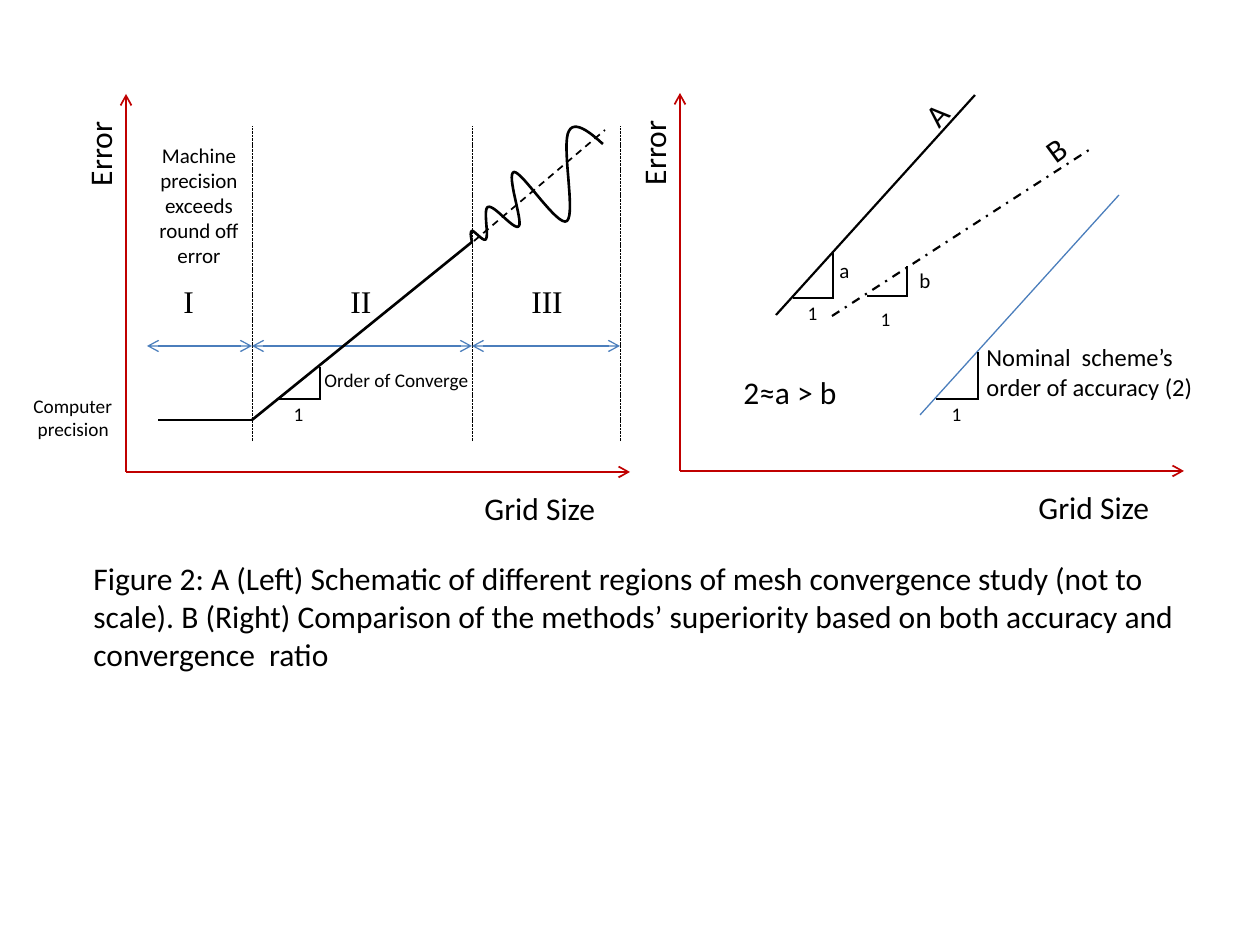
import pptx
import pptx.util
import pptx.dml.color
import pptx.enum.dml
import pptx.enum.shapes
import pptx.enum.text
import lxml.etree

SCALE = 914400 / 126
CURVE_STEPS = 16
COLORS = {"axis": "C00000", "blue": "4B7EBC", "black": "000000"}
DASH = pptx.enum.dml.MSO_LINE

# Panel origins; both panels share the same axes
PANELS = [(126, 472), (680, 471)]
AXIS_HEIGHT, AXIS_WIDTH = 378, 504

REGION_EDGES = [147, 252, 472, 620]
REGION_ARROW_Y = 346
REGION_LABELS = [("I", 171), ("II", 338), ("III", 519)]
DIVIDER_TOP, DIVIDER_BOTTOM = 126, 441

# start, end, color, width, dash
CURVE_LINES = [
    ((252, 420), (158, 420), "black", 1.5, None),
    ((252, 420), (472, 242), "black", 1.5, None),
    ((474, 241), (605, 130), "black", 1, DASH.DASH),
    ((920, 415), (1119, 195), "blue", 0.75, None),
    ((776, 315), (975, 95), "black", 1.25, None),
    ((832, 316), (1089, 150), "black", 1.25, DASH.DASH_DOT),
]

# left, right, base, top of each slope triangle
TRIANGLES = [(278, 321, 399, 367), (936, 979, 399, 352),
             (793, 834, 298, 251), (867, 908, 296, 266)]

OSCILLATION_START = (472, 242)
OSCILLATION = [
    [(471, 237), (470, 232), (472, 231)],
    [(474, 230), (484, 243), (486, 239)],
    [(489, 235), (483, 209), (488, 207)],
    [(494, 204), (515, 232), (519, 226)],
    [(523, 221), (506, 174), (514, 172)],
    [(522, 171), (558, 228), (567, 221)],
    [(576, 214), (561, 144), (569, 131)],
    [(576, 117), (600, 142), (603, 144)],
]

# paragraphs, box, size, rotation, centred
LABELS = [
    (["Machine precision", "exceeds round off error"], (136, 136, 126, 140), 12, 0, True),
    (["Computer", " precision"], (21, 388, 136, 59), 11, 0, False),
    (["Order of Converge"], (312, 362, 192, 36), 11, 0, False),
    (["Nominal  scheme’s order of accuracy (2)"], (974, 336, 232, 72), 14, 0, False),
    (["1"], (285, 396, 21, 36), 11, 0, False),
    (["1"], (943, 396, 21, 36), 11, 0, False),
    (["1"], (799, 295, 21, 36), 11, 0, False),
    (["1"], (872, 301, 21, 36), 11, 0, False),
    (["A"], (914, 88, 45, 50), 18, 312.4, False),
    (["B"], (1034, 123, 45, 50), 18, 323.8, False),
    (["a"], (827, 251, 25, 38), 12, 0, False),
    (["b"], (907, 261, 25, 38), 12, 0, False),
    (["2≈a > b"], (731, 367, 136, 50), 18, 0, False),
    (["Figure 2: A (Left) Schematic of different regions of mesh convergence study "
      "(not to scale). B (Right) Comparison of the methods’ superiority based on both "
      "accuracy and convergence  ratio"], (81, 553, 1129, 127), 18, 0, False),
]


def emu(pixels):
    """Turn pixels into EMU."""
    return pptx.util.Emu(round(pixels * SCALE))


def rgb(name):
    """Look up a named colour."""
    return pptx.dml.color.RGBColor.from_string(COLORS[name])


def add_line(start, end, color="black", width=0.75, dash=None, ends=()):
    """Draw a straight line, with arrowheads at the ends named."""
    line = slide.shapes.add_connector(pptx.enum.shapes.MSO_CONNECTOR.STRAIGHT,
                                      *map(emu, start + end))
    line.line.color.rgb = rgb(color)
    line.line.width = pptx.util.Pt(width)
    if dash is not None:
        line.line.dash_style = dash
    properties = line._element.spPr
    outline = properties.find(pptx.oxml.ns.qn("a:ln"))
    for end_name in ends:
        lxml.etree.SubElement(outline, pptx.oxml.ns.qn("a:" + end_name), type="arrow")
    lxml.etree.SubElement(properties, pptx.oxml.ns.qn("a:effectLst"))


def add_text(paragraphs, box, size, rotation=0, centred=False, font="Calibri"):
    """Add a wrapping text box, one run per paragraph."""
    shape = slide.shapes.add_textbox(*map(emu, box))
    shape.rotation = rotation
    frame = shape.text_frame
    frame.word_wrap = True
    for index, text in enumerate(paragraphs):
        paragraph = frame.add_paragraph() if index else frame.paragraphs[0]
        if centred:
            paragraph.alignment = pptx.enum.text.PP_ALIGN.CENTER
        run = paragraph.add_run()
        run.text = text
        run.font.name = font
        run.font.size = pptx.util.Pt(size)
        run.font.color.rgb = rgb("black")


def add_panel(x, y):
    """Draw the two axes of a panel and their titles."""
    for end in [(x, y - AXIS_HEIGHT), (x + AXIS_WIDTH, y)]:
        add_line((x, y), end, "axis", 1, ends=["tailEnd"])
    add_text(["Grid Size"], (x + 346, y + 11, 158, 50), 18)
    add_text(["Error"], (x - 79, y - 351, 105, 50), 18, 270)


def curve_points(start, segments):
    """Sample a chain of cubic Bezier segments."""
    points = []
    for first, second, end in segments:
        for step in range(1, CURVE_STEPS + 1):
            t = step / CURVE_STEPS
            u = 1 - t
            weights = (u ** 3, 3 * u * u * t, 3 * u * t * t, t ** 3)
            controls = (start, first, second, end)
            points.append(tuple(sum(w * c[axis] for w, c in zip(weights, controls)) * SCALE
                                for axis in (0, 1)))
        start = end
    return points


def add_oscillation():
    """Draw the growing oscillation of region III."""
    builder = slide.shapes.build_freeform(*map(emu, OSCILLATION_START))
    builder.add_line_segments(curve_points(OSCILLATION_START, OSCILLATION), close=False)
    shape = builder.convert_to_shape()
    shape.shadow.inherit = False
    shape.fill.background()
    shape.line.color.rgb = rgb("black")
    shape.line.width = pptx.util.Pt(1.5)


presentation = pptx.Presentation()
presentation.slide_width = emu(1260)
presentation.slide_height = emu(945)
slide = presentation.slides.add_slide(presentation.slide_layouts[6])

for origin in PANELS:
    add_panel(*origin)
for left, right in zip(REGION_EDGES, REGION_EDGES[1:]):
    add_line((right, REGION_ARROW_Y), (left, REGION_ARROW_Y), "blue",
             ends=["headEnd", "tailEnd"])
    add_line((right, DIVIDER_BOTTOM), (right, DIVIDER_TOP), width=0.5,
             dash=DASH.SQUARE_DOT)
for numeral, left in REGION_LABELS:
    add_text([numeral], (left, 276, 60, 50), 18, font="Times New Roman")
for curve_line in CURVE_LINES:
    add_line(*curve_line)
add_oscillation()
for left, right, base, top in TRIANGLES:
    add_line((left, base), (right, base))
    add_line((right - 1, base), (right - 1, top))
for label in LABELS:
    add_text(*label)

presentation.save("out.pptx")
